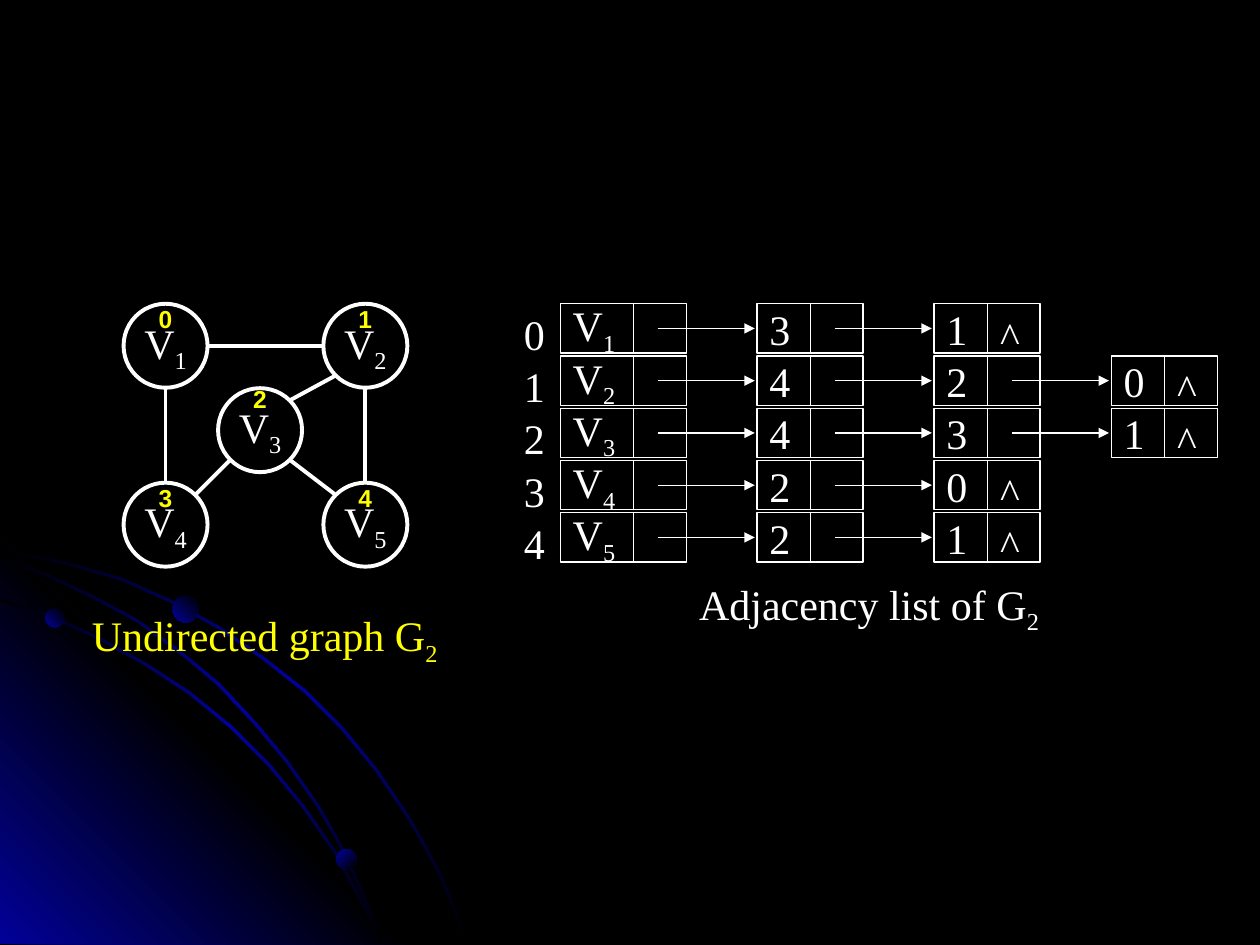
"""Build a slide with an undirected graph and its adjacency list."""
from math import cos, pi, radians, sin

from lxml.etree import SubElement
from pptx import Presentation
from pptx.dml.color import RGBColor
from pptx.enum.shapes import MSO_CONNECTOR, MSO_SHAPE
from pptx.enum.text import MSO_ANCHOR, PP_ALIGN
from pptx.oxml import parse_xml
from pptx.oxml.ns import nsdecls, qn
from pptx.util import Pt

COLORS = {"black": "000000", "blue": "010199", "white": "FFFFFF", "yellow": "FFFF00"}
SERIF, SANS = "Times New Roman", "Arial"

ARCS = [
    [(0, 315.4), (20.2, 319), (40.3, 323.3), (69.8, 331.9), (97.2, 344.2),
     (124.6, 359.3), (149.8, 376.6), (173.5, 395.3), (195.1, 416.9), (214.6, 440.6),
     (232.6, 467.3), (242.6, 484.6), (252, 502.6), (259.2, 520.6), (266.4, 539.3)],
    [(0, 343.4), (28.1, 352.8), (55.4, 365), (82.8, 380.2), (108, 396.7),
     (131.8, 416.2), (153.4, 437.8), (172.8, 461.5), (190.8, 487.4), (205.2, 514.1),
     (211.7, 527), (216.7, 539.3)],
    [(0, 319.7), (25.9, 329), (53.3, 342), (78.5, 355.7), (102.2, 373),
     (124.6, 391.7), (145.4, 414), (163.4, 435.6), (181.4, 461.5), (192.2, 480.2),
     (201.6, 499.7), (210.2, 519.8), (216.7, 539.3)],
]
ARC_WIDTH = 1.5
CORNER = [(231.8, 539.5), (0, 539.5), (0, 307.4)]
BEADS = [(25.9, 347.8, 10.8, 315), (192.2, 485.3, 11.5, 45), (98.6, 340.6, 15.1, 315)]

NODES = [(70.6, 173.6, 3.6), (184.8, 173.6, 3.6), (124.6, 221.8, 5.8),
         (70.6, 275.8, 3.6), (184.8, 275.8, 3.6)]
NODE_SIZE = 48
EDGES = [(0, 1, 0), (0, 3, 90), (1, 4, 90), (2, 4, 45), (1, 2, 135), (2, 3, 135)]

NEIGHBORS = [[3, 1], [4, 2, 0], [4, 3, 1], [2, 0], [2, 1]]
ROW_TOP, ROW_STEP, ROW_HEIGHT = 173.6, 29.85, 28.2
INDEX_LEFT, HEAD_LEFT, HEAD_WIDTH, HEAD_SPLIT = 292.3, 320.2, 72, 42
CELL_LEFT, CELL_STEP, CELL_WIDTH, CELL_SPLIT = 432.6, 101.2, 60.6, 30.6
ARROW_BACK, ARROW_GAP = 56.8, 1.3

CAPTIONS = [("Adjacency list of G", 392.4, 326.9, 218.2, "white"),
            ("Undirected graph G", 45.4, 344.9, 213.1, "yellow")]


def rgb(name):
    return RGBColor.from_string(COLORS[name])


def set_gradient(shape, names, angle):
    last = len(names) - 1
    stops = "".join(
        f'<a:gs pos="{100000 * index // last}"><a:srgbClr val="{COLORS[name]}"/></a:gs>'
        for index, name in enumerate(names))
    gradient = parse_xml(
        f'<a:gradFill {nsdecls("a")} rotWithShape="1"><a:gsLst>{stops}</a:gsLst>'
        f'<a:lin ang="{angle * 60000}" scaled="1"/></a:gradFill>')
    shape.shadow.inherit = False
    shape.line.fill.background()
    shape.fill.background()
    properties = shape.fill._xPr
    properties.replace(properties.find(qn("a:noFill")), gradient)


def add_outline(points, names, angle):
    corners = [(Pt(x), Pt(y)) for x, y in points]
    builder = slide.shapes.build_freeform(*corners[0])
    builder.add_line_segments(corners[1:], close=True)
    set_gradient(builder.convert_to_shape(), names, angle)


def add_arc(inner):
    outer = []
    for index, (x, y) in enumerate(inner):
        turn = index / (len(inner) - 1) * pi / 2
        outer.append((x + ARC_WIDTH * sin(turn), y - ARC_WIDTH * cos(turn)))
    add_outline(inner + outer[::-1], ["black", "blue", "black"], 45)


def write(shape, text, subscript="", size=24, font=SERIF, color="white", bold=False):
    frame = shape.text_frame
    frame.word_wrap = False
    paragraph = frame.paragraphs[0]
    paragraph.alignment = PP_ALIGN.LEFT
    paragraph.text = text
    if subscript:
        run = paragraph.add_run()
        run.text = subscript
        run.font._element.set("baseline", "-25000")
    for run in paragraph.runs:
        run.font.size, run.font.name, run.font.bold = Pt(size), font, bold
        run.font.color.rgb = rgb(color)


def add_text(left, top, width, height, *content, **style):
    box = slide.shapes.add_textbox(Pt(left), Pt(top), Pt(width), Pt(height))
    write(box, *content, **style)


def add_box(kind, left, top, width, height, weight, *content):
    shape = slide.shapes.add_shape(kind, Pt(left), Pt(top), Pt(width), Pt(height))
    shape.shadow.inherit = False
    shape.fill.background()
    shape.line.color.rgb = rgb("white")
    shape.line.width = Pt(weight)
    write(shape, *content)
    shape.text_frame.vertical_anchor = MSO_ANCHOR.MIDDLE
    return shape


def add_line(start_x, start_y, end_x, end_y, weight, arrow=False):
    line = slide.shapes.add_connector(
        MSO_CONNECTOR.STRAIGHT, Pt(start_x), Pt(start_y), Pt(end_x), Pt(end_y))
    line.line.color.rgb = rgb("white")
    line.line.width = Pt(weight)
    if arrow:
        SubElement(line.line._get_or_add_ln(), qn("a:tailEnd"), type="triangle")
    SubElement(line._element.spPr, qn("a:effectLst"))


def add_record(left, top, width, split, *content):
    add_box(MSO_SHAPE.RECTANGLE, left, top, width, ROW_HEIGHT, 0.75, *content)
    add_line(left + split, top, left + split, top + ROW_HEIGHT, 0.75)


def add_row(index, neighbors):
    top = ROW_TOP + index * ROW_STEP
    middle = top + ROW_HEIGHT / 2
    add_text(INDEX_LEFT, top - 0.9, 26.6, ROW_HEIGHT, str(index))
    add_record(HEAD_LEFT, top, HEAD_WIDTH, HEAD_SPLIT, "V", str(index + 1))
    for position, neighbor in enumerate(neighbors):
        left = CELL_LEFT + position * CELL_STEP
        add_record(left, top, CELL_WIDTH, CELL_SPLIT, str(neighbor))
        add_line(left - ARROW_BACK, middle, left - ARROW_GAP, middle, 0.75, arrow=True)
    add_text(left + CELL_SPLIT, top, 26, ROW_HEIGHT, "^")


def add_node(index, left, top, rise):
    node = add_box(MSO_SHAPE.OVAL, left, top, NODE_SIZE, NODE_SIZE, 2.25,
                   "V", str(index + 1))
    node.text_frame.paragraphs[0].alignment = PP_ALIGN.CENTER
    add_text(left + 12.9, top - rise, 22.3, 24.5, str(index),
             size=14, font=SANS, color="yellow", bold=True)


def add_edge(first, second, angle):
    radius = NODE_SIZE / 2
    ends = []
    for node, sign in ((first, 1), (second, -1)):
        left, top, _ = NODES[node]
        ends += [left + radius + sign * radius * cos(radians(angle)),
                 top + radius + sign * radius * sin(radians(angle))]
    add_line(*ends, 2.25)


presentation = Presentation()
presentation.slide_width, presentation.slide_height = Pt(720), Pt(540)
slide = presentation.slides.add_slide(presentation.slide_layouts[6])
slide.background.fill.solid()
slide.background.fill.fore_color.rgb = rgb("black")

add_outline(CORNER, ["blue", "black", "blue"], 315)
for arc in ARCS:
    add_arc(arc)
for left, top, size, angle in BEADS:
    bead = slide.shapes.add_shape(MSO_SHAPE.OVAL, Pt(left), Pt(top), Pt(size), Pt(size))
    set_gradient(bead, ["blue", "black"], angle)
for index, neighbors in enumerate(NEIGHBORS):
    add_row(index, neighbors)
for index, node in enumerate(NODES):
    add_node(index, *node)
for edge in EDGES:
    add_edge(*edge)
for text, left, top, width, color in CAPTIONS:
    add_text(left, top, width, 36, text, "2", color=color)

presentation.save("out.pptx")
